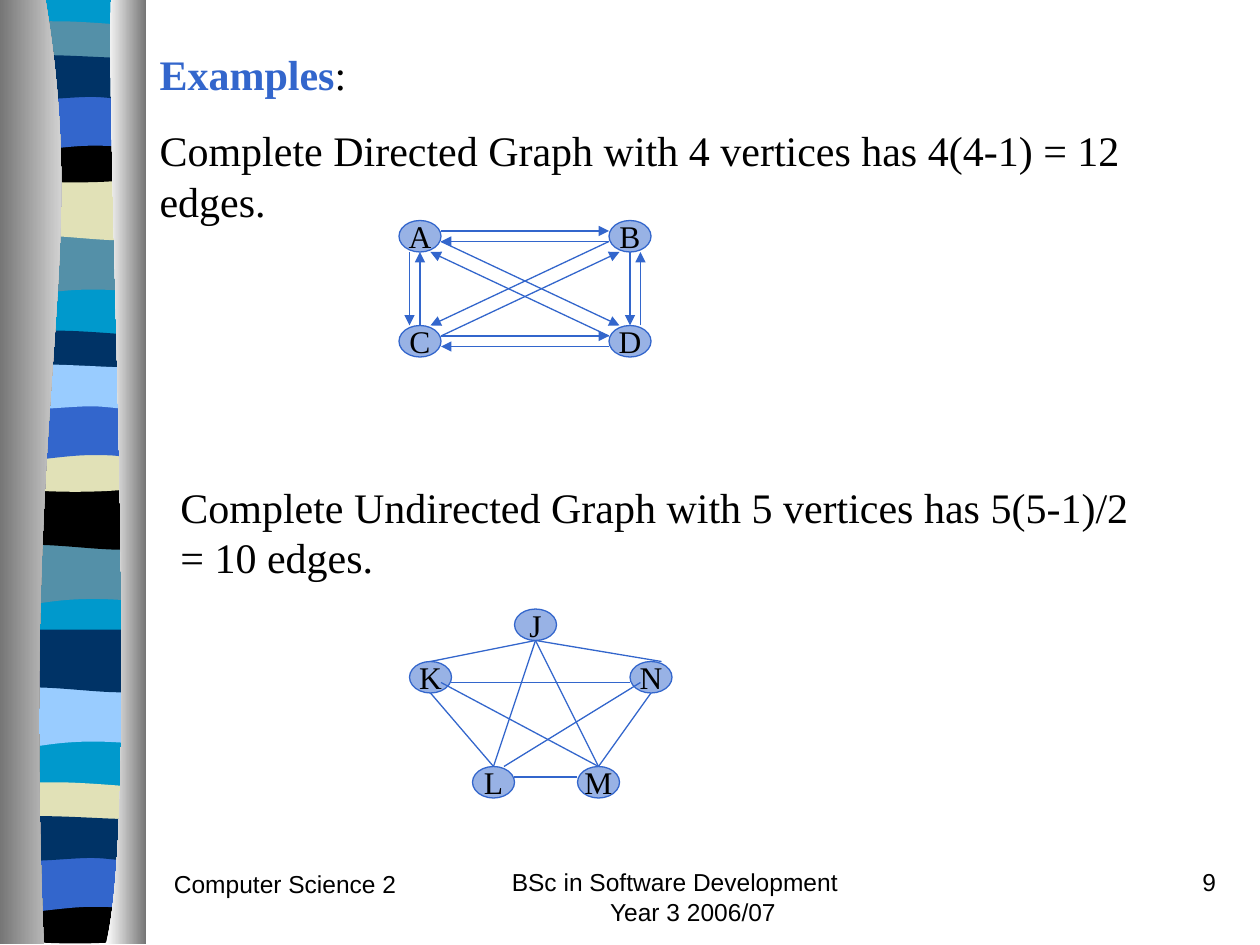
from lxml import etree
from pptx import Presentation
from pptx.dml.color import RGBColor
from pptx.enum import shapes, text
from pptx.oxml import ns
from pptx.util import Pt

BLUE = RGBColor(0x33, 0x66, 0xCC)
NAVY = RGBColor(0x00, 0x33, 0x66)
CYAN = RGBColor(0x00, 0x99, 0xCC)
SKY = RGBColor(0x99, 0xCC, 0xFF)
STEEL = RGBColor(0x54, 0x90, 0xA8)
SAND = RGBColor(0xE1, 0xE1, 0xB7)
BLACK = RGBColor(0x00, 0x00, 0x00)
WHITE = RGBColor(0xFF, 0xFF, 0xFF)
GREY = RGBColor(0x76, 0x76, 0x76)

GRID = 6  # points per step of the graph drawings
NODE_WIDTH, NODE_HEIGHT = 24, 18

# Top edge (left to right) and bottom edge (right to left) of each kind of
# wavy band, as Bezier points measured from the band's top
FLAT = [(4, 0), (82, 0)]
BANDS = {
    "swell": (FLAT, [(82, 34), (28, 28), (17, 40), (4, 34)]),
    "sag": (FLAT, [(82, 34), (69, 39.6), (28, 30), (4, 34)]),
    "lens": ([(4, 0), (9, -3.6), (21, -2.9), (34, -2.9), (47, -2.9), (72, -0.7), (82, 0)],
             [(82, 17.3), (69, 20.2), (17, 20.2), (4, 17.3)]),
    "bowl": ([(4, 0), (52, 3.6), (65.5, 0), (82, 0)],
             [(82, 23.4), (69, 27.4), (17, 27.4), (4, 23.4)]),
    "arch": (FLAT, [(82, 34), (70, 30), (65, 30), (52, 30), (38, 30), (15.5, 34), (4, 34)]),
    "ripple": ([(4, 0), (15, -3.6), (57, 0), (70, 0), (83, 0), (79, 0), (82, 0)],
               [(82, 22.3), (77, 26), (65, 22.3), (52, 22.3), (38, 22.3), (12, 26), (4, 22.3)]),
}
# Kind, first top, colours of the three repeats, drop of the third repeat
BAND_ROWS = [
    ("swell", 133.2, (STEEL, STEEL, SKY), 258.3),
    ("sag", 101.5, (SAND, BLACK, NAVY), 258.3),
    ("lens", 15.1, (STEEL, NAVY, SAND), 434.9),
    ("bowl", 77.8, (BLACK, SAND, BLACK), 434.9),
    ("arch", 53.3, (BLUE, BLUE, BLUE), 434.9),
    ("ripple", 33.1, (NAVY, SKY, NAVY), 434.9),
]
SECOND_DROP = 176.8

# Node corners and edge ends, in grid steps
DIRECTED_NODES = {"A": (38, 21), "C": (38, 31), "D": (58, 31), "B": (58, 21)}
DIRECTED_EDGES = [
    (42, 22, 58, 22), (58, 23, 42, 23), (42, 32, 58, 32), (58, 33, 42, 33),
    (39, 24, 39, 31), (40, 31, 40, 24), (60, 24, 60, 31), (61, 31, 61, 24),
    (58, 23, 41, 31), (42, 32, 59, 24), (42, 23, 59, 31), (58, 32, 41, 24),
]
UNDIRECTED_NODES = {"J": (49, 58), "K": (39, 63), "N": (60, 63), "L": (45, 73), "M": (55, 73)}
UNDIRECTED_EDGES = [
    (51, 61, 41, 63), (51, 61, 63, 63), (41, 66, 47, 73), (62, 66, 57, 73),
    (43, 65, 60, 65), (49, 74, 55, 74), (51, 61, 47, 73), (51, 61, 57, 73),
    (61, 65, 48, 73), (42, 65, 57, 73),
]


class GraphSlide:
    """Style and drawing methods for the current slide."""
    serif, sans = "Times New Roman", "Arial"

    def __init__(self, page):
        self.page = page
        self.master = page.slide_layout.slide_master

    def format_text(self, box, size, font, align=text.PP_ALIGN.LEFT):
        for para in box.text_frame.paragraphs:
            para.alignment = align
            para.line_spacing = Pt(size * 1.2)
            for span in para.runs:
                span.font.name, span.font.size = font, Pt(size)
                span.font.color.rgb = BLACK

    def title(self, strong, rest, statement, left, top, width, height):
        box = self.page.shapes.title
        box.left, box.top, box.width, box.height = map(Pt, (left, top, width, height))
        frame = box.text_frame
        frame.text = strong
        frame.vertical_anchor = text.MSO_ANCHOR.TOP
        frame.auto_size = text.MSO_AUTO_SIZE.SHAPE_TO_FIT_TEXT
        frame.paragraphs[0].space_before = Pt(0)
        frame.paragraphs[0].add_run().text = rest
        para = frame.add_paragraph()
        para.text = statement
        para.space_before = Pt(15)
        self.format_text(box, 24, self.serif)
        heading = frame.paragraphs[0].runs[0]
        heading.font.bold = True
        heading.font.color.rgb = BLUE

    def text(self, words, left, top, width, height, size, font, align=text.PP_ALIGN.LEFT):
        box = self.page.shapes.add_textbox(*map(Pt, (left, top, width, height)))
        box.text_frame.word_wrap = True
        box.text_frame.text = words
        self.format_text(box, size, font, align)
        return box

    def hang(self, box, depth):
        """Set the first line further left, with later lines still centred in the box."""
        box.text_frame.margin_left, box.text_frame.margin_right = 0, Pt(depth)
        properties = box.text_frame.paragraphs[0]._p.get_or_add_pPr()
        properties.set("marL", str(Pt(depth)))
        properties.set("indent", str(-Pt(depth)))

    def outline(self, sides, color, fade_to=None):
        """Draw a master shape from sides: two points are straight, more are Beziers."""
        points = [(Pt(x), Pt(y)) for side in sides for x, y in side]
        builder = self.page.shapes.build_freeform(*points[0], scale=1.0)
        builder.add_line_segments(points[1:], close=True)
        shape = builder.convert_to_shape()
        steps = list(shape._element.find(".//" + ns.qn("a:path")))
        first = 0
        for side in sides:
            if len(side) > 2:
                for start in range(first + 1, first + len(side), 3):
                    curve = etree.Element(ns.qn("a:cubicBezTo"))
                    steps[start].addprevious(curve)
                    for step in steps[start:start + 3]:
                        curve.append(step[0])
                        step.getparent().remove(step)
            first += len(side)
        shape.shadow.inherit = False
        shape.line.fill.background()
        if fade_to is None:
            shape.fill.solid()
            shape.fill.fore_color.rgb = color
        else:
            shape.fill.gradient()
            shape.fill.gradient_angle = 0
            for stop, shade in zip(shape.fill.gradient_stops, (color, fade_to)):
                stop.color.rgb = shade
        self.master.shapes._spTree.append(shape._element)

    def node(self, name, column, row):
        node = self.page.shapes.add_shape(
            shapes.MSO_SHAPE.OVAL, Pt(column * GRID), Pt(row * GRID),
            Pt(NODE_WIDTH), Pt(NODE_HEIGHT))
        node.shadow.inherit = False
        node.fill.solid()
        node.fill.fore_color.rgb = BLUE
        color = node.fill._xPr.find(".//" + ns.qn("a:srgbClr"))
        etree.SubElement(color, ns.qn("a:alpha"), val="50000")
        node.line.color.rgb, node.line.width = BLUE, Pt(0.75)
        node.text_frame.text = name
        node.text_frame.word_wrap = False
        node.text_frame.vertical_anchor = text.MSO_ANCHOR.MIDDLE
        self.format_text(node, 18, self.serif, text.PP_ALIGN.CENTER)

    def edge(self, ends, arrow):
        edge = self.page.shapes.add_connector(
            shapes.MSO_CONNECTOR.STRAIGHT, *(Pt(end * GRID) for end in ends))
        edge.line.color.rgb, edge.line.width = BLUE, Pt(0.75)
        if arrow:
            etree.SubElement(edge.line._get_or_add_ln(), ns.qn("a:tailEnd"), type="triangle")
        etree.SubElement(edge._element.spPr, ns.qn("a:effectLst"))

    def graph(self, nodes, edges, arrows):
        for name, corner in nodes.items():
            self.node(name, *corner)
        for ends in edges:
            self.edge(ends, arrows)


def main():
    deck = Presentation()
    deck.slide_width, deck.slide_height = Pt(720), Pt(540)
    slide = GraphSlide(deck.slides.add_slide(deck.slide_layouts[5]))

    # Wavy coloured strip on the master
    slide.outline([[(4, 0), (82, 0)], [(82, 538), (4, 538)]], CYAN)
    for repeat in range(3):
        for kind, first_top, colors, third_drop in BAND_ROWS:
            top = first_top + (0, SECOND_DROP, third_drop)[repeat]
            slide.outline([[(x, y + top) for x, y in side] for side in BANDS[kind]],
                          colors[repeat])

    # Grey columns on both sides of the strip
    slide.outline([[(26, 0), (52, 156), (12, 213), (25, 539.5)], [(0, 539.5), (0, 0)]],
                  GREY, WHITE)
    slide.outline([[(63.5, 0), (60.5, 90), (80.5, 465), (60.5, 539.5)],
                   [(83.5, 539.5), (83.5, 0)]], WHITE, GREY)

    # Footer
    slide.text("Computer Science 2", 92.3, 493.3, 150, 36, 14, slide.sans)
    course = slide.text("BSc in Software Development Year 3 2006/07", 282, 492, 228, 36,
                        14, slide.sans, text.PP_ALIGN.CENTER)
    slide.hang(course, 20.6)
    slide.text("9", 552, 492, 150, 36, 14, slide.sans, text.PP_ALIGN.RIGHT)

    # Directed graph
    slide.title("Examples", ":", "Complete Directed Graph with 4 vertices has 4(4-1) = 12 edges.",
                84, 24, 612, 108.7)
    slide.graph(DIRECTED_NODES, DIRECTED_EDGES, arrows=True)

    # Undirected graph
    slide.text("Complete Undirected Graph with 5 vertices has 5(5-1)/2 = 10 edges.",
               96, 271.5, 570, 64.8, 24, slide.serif)
    slide.graph(UNDIRECTED_NODES, UNDIRECTED_EDGES, arrows=False)

    deck.save("out.pptx")


if __name__ == "__main__":
    main()
